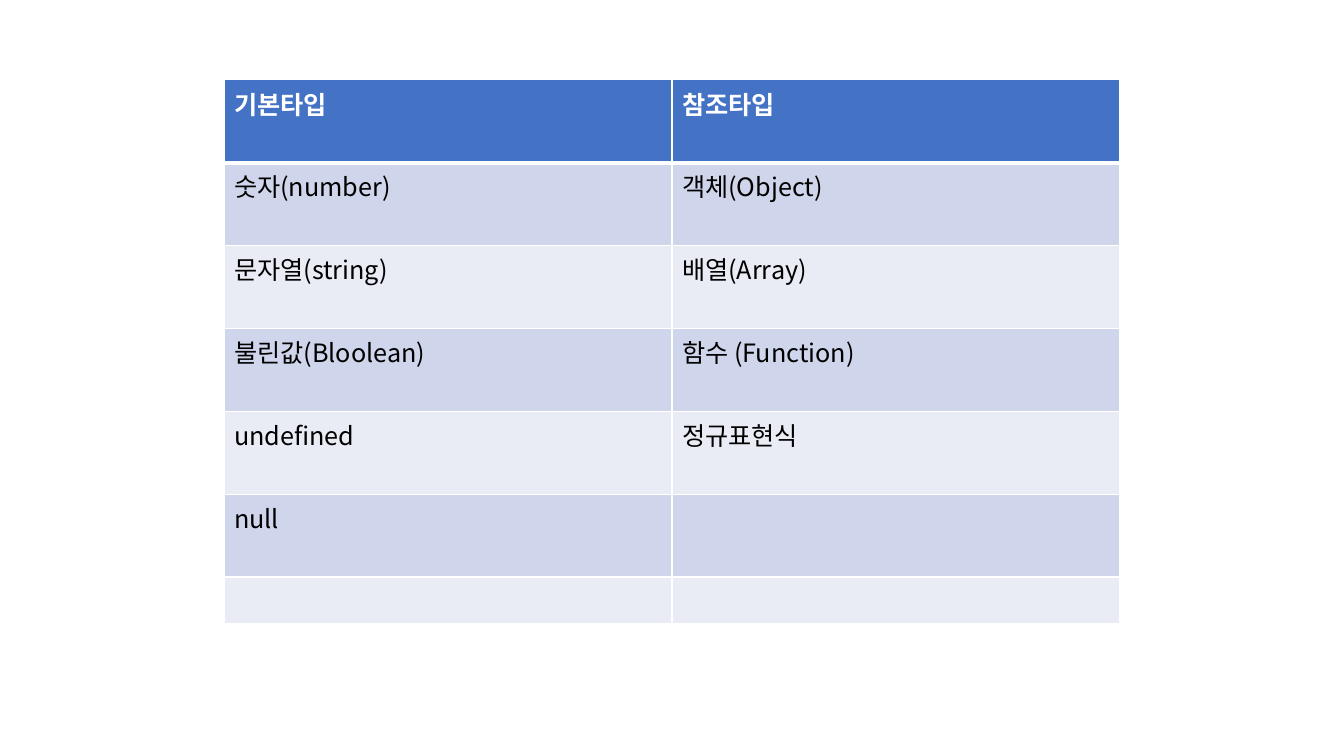
import pptx
import pptx.util
import pptx.dml.color
import pptx.oxml
import pptx.oxml.ns

Pt = pptx.util.Pt
FONT = "Noto Sans CJK KR"
HEAD, BANDS = "4472C4", ("CFD5EA", "E9EBF5")
ROWS = [
    ("기본타입", "참조타입"),
    ("숫자(number)", "객체(Object)"),
    ("문자열(string)", "배열(Array)"),
    ("불린값(Bloolean)", "함수 (Function)"),
    ("undefined", "정규표현식"),
    ("null", ""),
    ("", ""),
]


def color(code):
    return pptx.dml.color.RGBColor.from_string(code)


def set_edge(cell, side, width):
    """Draw one white cell border."""
    cell._tc.get_or_add_tcPr().append(pptx.oxml.parse_xml(
        f'<a:{side} {pptx.oxml.ns.nsdecls("a")} w="{Pt(width)}">'
        f'<a:solidFill><a:srgbClr val="FFFFFF"/></a:solidFill></a:{side}>'))


def set_text(cell, text, ink, bold):
    cell.text = text
    font = cell.text_frame.paragraphs[0].font
    font.name, font.size, font.bold = FONT, Pt(18), bold
    font.color.rgb = color(ink)
    # Use the same typeface for Korean letters
    font._element.append(pptx.oxml.parse_xml(
        f'<a:ea {pptx.oxml.ns.nsdecls("a")} typeface="{FONT}"/>'))


def add_grid(slide, rows, left, top, width, heights):
    frame = slide.shapes.add_table(len(rows), len(rows[0]), Pt(left), Pt(top),
                                   Pt(width), Pt(sum(heights)))
    table = frame.table
    for r, texts in enumerate(rows):
        table.rows[r].height = Pt(heights[r])
        head = r == 0
        for c, text in enumerate(texts):
            cell = table.cell(r, c)
            set_text(cell, text, "FFFFFF" if head else "000000", head)
            # Thick line between header and body
            set_edge(cell, "lnL", 1)
            set_edge(cell, "lnR", 1)
            set_edge(cell, "lnT", 3 if r == 1 else 1)
            set_edge(cell, "lnB", 3 if head else 1)
            cell.fill.solid()
            cell.fill.fore_color.rgb = color(HEAD if head else BANDS[(r - 1) % 2])


def main():
    deck = pptx.Presentation()
    deck.slide_width, deck.slide_height = Pt(960), Pt(540)
    slide = deck.slides.add_slide(deck.slide_layouts[6])
    # Type table: six even rows and a short last one
    add_grid(slide, ROWS, 160, 57, 640, [59.2] * 6 + [33.4])
    deck.save("out.pptx")


if __name__ == "__main__":
    main()
